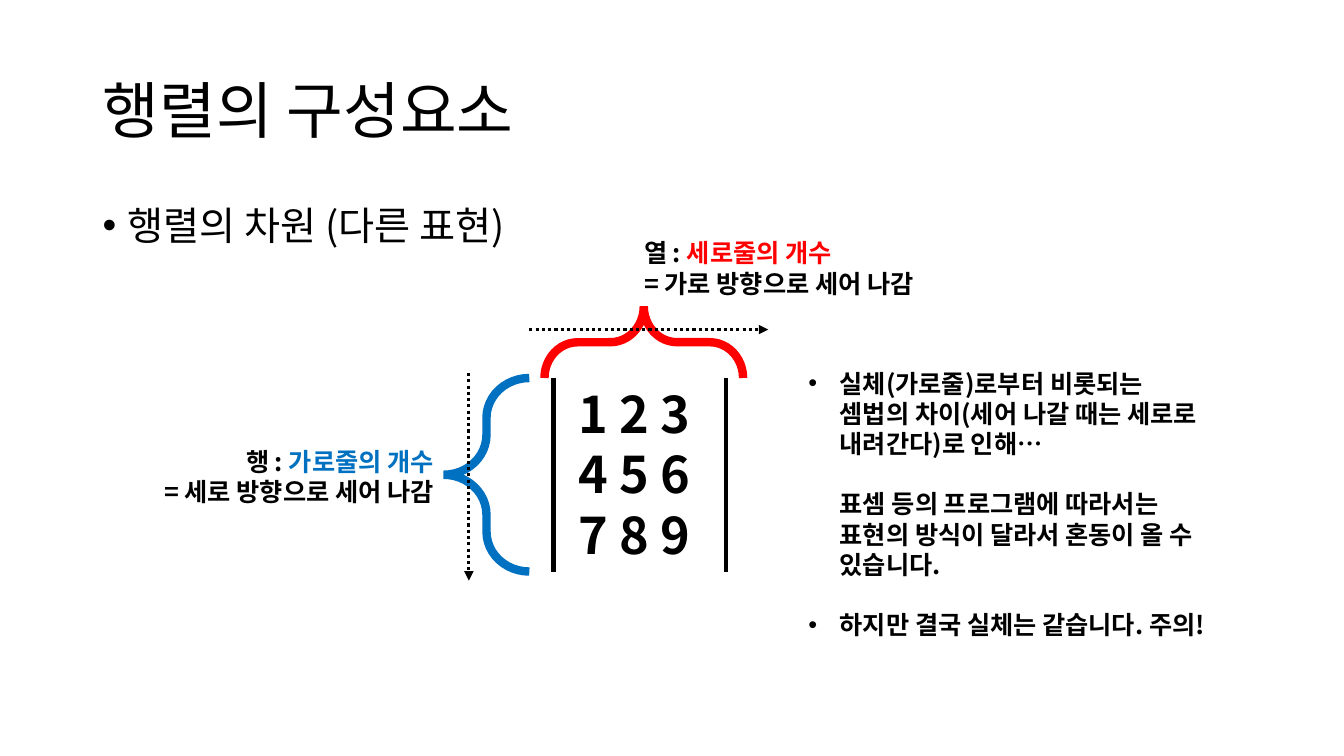
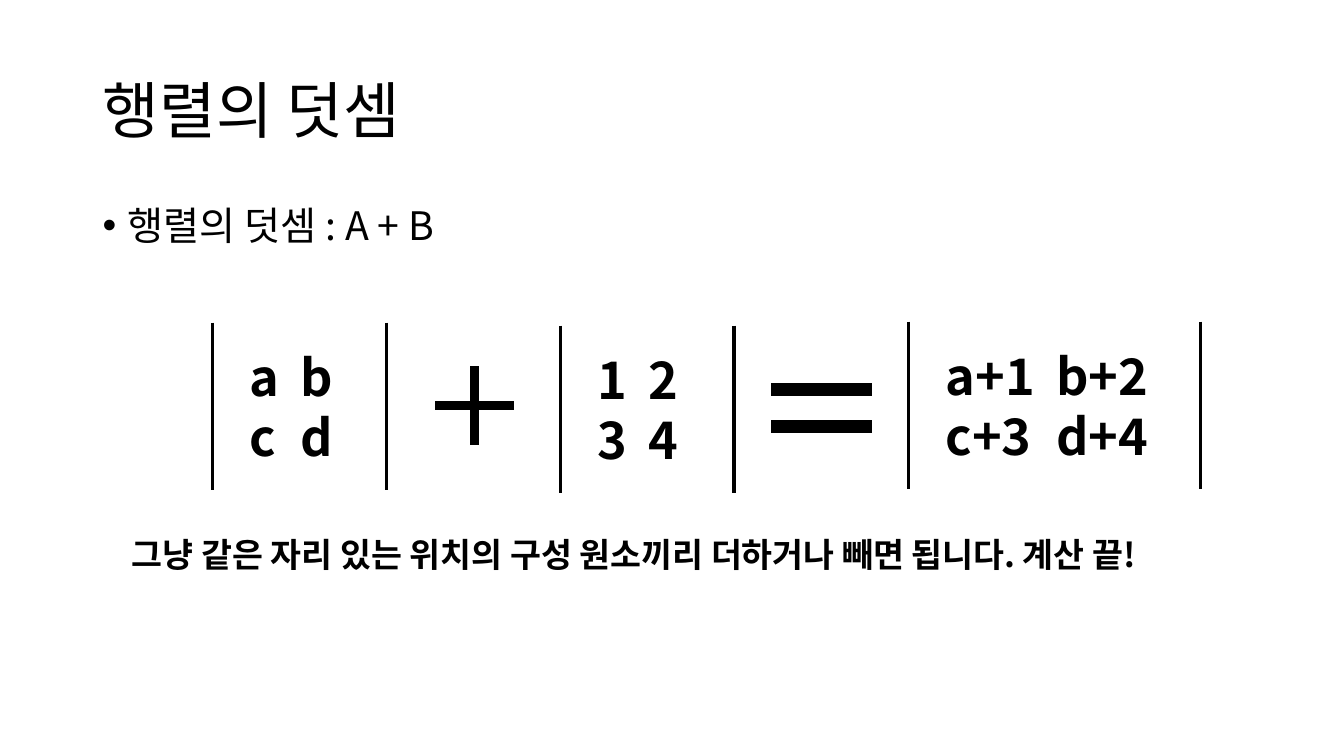
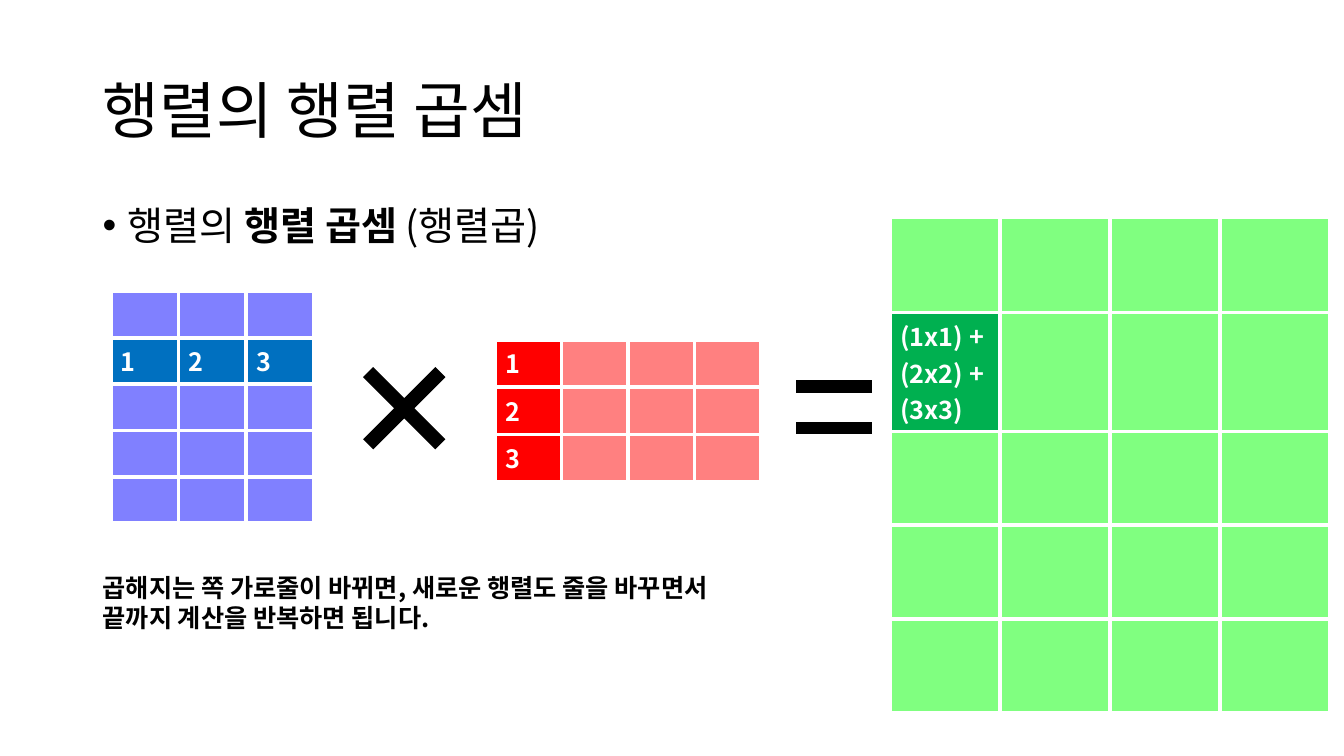
from lxml.etree import SubElement
from pptx import Presentation
from pptx.dml.color import RGBColor
from pptx.enum.dml import MSO_LINE
from pptx.enum.shapes import MSO_CONNECTOR, MSO_SHAPE
from pptx.enum.text import MSO_ANCHOR, PP_ALIGN
from pptx.oxml.ns import qn
from pptx.util import Inches, Pt

FONT = "Noto Sans CJK KR"
BLACK, WHITE, RED, BLUE, GREEN = "000000", "FFFFFF", "FF0000", "0070C0", "00B050"
PALE_RED, PALE_BLUE, PALE_GREEN = "FF8080", "8080FF", "80FF80"
LINE_HEIGHT = 1.2  # line pitch in ems


def rgb(value):
    return RGBColor.from_string(value)


def box(*lengths):
    return [Inches(v) for v in lengths]


# Text
def add_run(p, text, size, color=BLACK, bold=False):
    r = p.add_run()
    r.text = text
    for name, value in {"name": FONT, "size": Pt(size), "bold": bold}.items():
        setattr(r.font, name, value)
    r.font.color.rgb = rgb(color)
    SubElement(r._r.get_or_add_rPr(), qn("a:ea"), typeface=FONT)


def set_indent(p, left, bullet=True):
    pPr = p._p.get_or_add_pPr()
    pPr.set("marL", str(Inches(left)))
    pPr.set("indent", str(-Inches(left) if bullet else 0))
    if bullet:
        SubElement(pPr, qn("a:buFont"), typeface="Arial")
        SubElement(pPr, qn("a:buChar"), char="•")


def set_tab(p, position):
    tabs = SubElement(p._p.get_or_add_pPr(), qn("a:tabLst"))
    SubElement(tabs, qn("a:tab"), pos=str(Inches(position)), algn="l")


def next_paragraph(tf, index):
    return tf.add_paragraph() if index else tf.paragraphs[0]


def add_text(s, at, lines, size, align=PP_ALIGN.LEFT, tab=None):
    """Each line is a list of (text, color) runs, or a plain string."""
    tf = s.shapes.add_textbox(*box(*at)).text_frame
    tf.word_wrap = True
    for i, line in enumerate(lines):
        p = next_paragraph(tf, i)
        if tab:
            set_tab(p, tab)
        p.alignment, p.line_spacing = align, Pt(size * LINE_HEIGHT)
        for text, color in [(line, BLACK)] if isinstance(line, str) else line:
            add_run(p, text, size, color, bold=True)


def add_notes_list(s, at, items, size=18):
    """Items are (text, has_bullet, starts_block)."""
    tf = s.shapes.add_textbox(*box(*at)).text_frame
    tf.word_wrap = True
    pitch = Pt(size * LINE_HEIGHT)
    for i, (text, has_bullet, starts_block) in enumerate(items):
        p = next_paragraph(tf, i)
        set_indent(p, 0.31, has_bullet)
        p.line_spacing = pitch
        if starts_block:
            p.space_before = pitch
        add_run(p, text, size, bold=True)


# Lines and shapes
def add_line(s, start, end, width, arrow=False):
    c = s.shapes.add_connector(MSO_CONNECTOR.STRAIGHT, *box(*start, *end))
    c.line.color.rgb, c.line.width = rgb(BLACK), Pt(width)
    if arrow:
        c.line.dash_style = MSO_LINE.ROUND_DOT
        SubElement(c.line._get_or_add_ln(), qn("a:tailEnd"), type="triangle")
    SubElement(c._element.spPr, qn("a:effectLst"))


def add_symbol(s, kind, at, adjustments, color=BLACK, width=1, filled=True, rotation=0):
    sp = s.shapes.add_shape(kind, *box(*at))
    sp.shadow.inherit = False
    sp.rotation = rotation
    for i, value in enumerate(adjustments):
        sp.adjustments[i] = value
    if filled:
        sp.fill.solid()
        sp.fill.fore_color.rgb = rgb(color)
    else:
        sp.fill.background()
    sp.line.color.rgb, sp.line.width = rgb(color), Pt(width)
    SubElement(sp.line._get_or_add_ln(), qn("a:miter"), lim="800000")


def add_matrix(s, at, rows, inset, bar_width, tab=None):
    """Rows of large text between two vertical bars on the box edges."""
    left, top, width, height = at
    for x in (left, left + width):
        add_line(s, (x, top), (x, top + height), bar_width)
    dx, dy = inset
    add_text(s, (left + dx, top + dy, width - dx + 0.1, 0.6 * len(rows) + 0.1),
             rows, 36, tab=tab)


def add_grid(s, at, col_width, row_heights, cols, pale, strong, marked):
    """Table of pale cells; marked maps (row, column) to the lines of a strong cell."""
    rows = len(row_heights)
    frame = s.shapes.add_table(rows, cols, *box(*at, col_width * cols, sum(row_heights)))
    table = frame.table
    for col in table.columns:
        col.width = Inches(col_width)
    for r, height in enumerate(row_heights):
        table.rows[r].height = Inches(height)
        for c in range(cols):
            cell = table.cell(r, c)
            tcPr = cell._tc.get_or_add_tcPr()
            for side in ("lnL", "lnR", "lnT", "lnB"):
                ln = SubElement(tcPr, qn("a:" + side), w=str(Pt(3)))
                SubElement(SubElement(ln, qn("a:solidFill")), qn("a:srgbClr"), val=WHITE)
            lines = marked.get((r, c), [])
            cell.fill.solid()
            cell.fill.fore_color.rgb = rgb(strong if lines else pale)
            for i, text in enumerate(lines):
                add_run(next_paragraph(cell.text_frame, i), text, 18, WHITE, bold=True)


# Shared slide head: title and one bullet
def new_slide(prs, title, bullet_runs):
    s = prs.slides.add_slide(prs.slide_layouts[5])
    head = s.shapes.title
    head.left, head.top, head.width, head.height = box(0.92, 0.4, 11.5, 1.45)
    tf = head.text_frame
    tf.vertical_anchor, tf.word_wrap = MSO_ANCHOR.MIDDLE, True
    p = tf.paragraphs[0]
    p.alignment, p.line_spacing = PP_ALIGN.LEFT, 0.9
    add_run(p, title, 44)

    tf = s.shapes.add_textbox(*box(0.92, 2, 11.5, 0.6)).text_frame
    tf.word_wrap = True
    p = tf.paragraphs[0]
    set_indent(p, 0.25)
    p.line_spacing = Pt(30)
    for text, size, bold in bullet_runs:
        add_run(p, text, size, bold=bold)
    return s


def dimension_slide(prs):
    s = new_slide(prs, "행렬의 구성요소", [("행렬의 차원 (다른 표현)", 28, False)])
    add_matrix(s, (5.49, 3.75, 1.71, 1.92), ["1 2 3", "4 5 6", "7 8 9"], (0.15, 0), 3)
    # Row and column labels
    add_text(s, (0.73, 4.38, 3.67, 0.71),
             [[("행 : ", BLACK), ("가로줄의 개수", BLUE)], "= 세로 방향으로 세어 나감"],
             18, PP_ALIGN.RIGHT)
    add_text(s, (6.29, 2.31, 3.63, 0.71),
             [[("열 : ", BLACK), ("세로줄의 개수", RED)], "= 가로 방향으로 세어 나감"], 18)
    # Braces and counting directions
    for at, color, rotation in (((4.4, 3.75, 0.85, 1.92), BLUE, 0),
                                ((6.03, 2.41, 0.71, 1.97), RED, 90)):
        add_symbol(s, MSO_SHAPE.LEFT_BRACE, at, (0.466, 0.5), color, 6, False, rotation)
    add_notes_list(s, (7.92, 3.6, 4.65, 2.83), [
        ("실체(가로줄)로부터 비롯되는", True, False),
        ("셈법의 차이(세어 나갈 때는 세로로 내려간다)로 인해…", False, False),
        ("표셈 등의 프로그램에 따라서는", False, True),
        ("표현의 방식이 달라서 혼동이 올 수 있습니다.", False, False),
        ("하지만 결국 실체는 같습니다. 주의!", True, True),
    ])
    add_line(s, (4.65, 3.7), (4.65, 5.76), 2.25, arrow=True)
    add_line(s, (5.25, 3.27), (7.62, 3.27), 2.25, arrow=True)


def addition_slide(prs):
    s = new_slide(prs, "행렬의 덧셈", [("행렬의 덧셈 : A + B", 28, False)])
    for left, top, width, rows, tab in (
            (2.11, 3.2, 1.72, ["a\tb", "c\td"], 0.5),
            (5.56, 3.23, 1.72, ["1\t2", "3\t4"], 0.5),
            (9.01, 3.19, 2.9, ["a+1\tb+2", "c+3\td+4"], 1.1)):
        add_matrix(s, (left, top, width, 1.66), rows, (0.27, 0.18), 2.25, tab)
    add_symbol(s, MSO_SHAPE.CROSS, (4.32, 3.64, 0.77, 0.77), (0.449,))
    add_symbol(s, MSO_SHAPE.MATH_EQUAL, (7.47, 3.37, 1.35, 1.35), (0.087, 0.186))
    add_text(s, (1.21, 5.25, 11.5, 0.5),
             ["그냥 같은 자리 있는 위치의 구성 원소끼리 더하거나 빼면 됩니다. 계산 끝!"], 24)


def product_slide(prs):
    s = new_slide(prs, "행렬의 행렬 곱셈", [
        ("행렬의 ", 28, False), ("행렬 곱셈", 28, True), (" ", 24, False), ("(행렬곱)", 28, False)])
    # Factors
    add_grid(s, (1.1, 2.89), 0.67, [0.46] * 5, 3, PALE_BLUE, BLUE,
             {(1, i): [str(i + 1)] for i in range(3)})
    add_symbol(s, MSO_SHAPE.MATH_MULTIPLY, (3.33, 3.37, 1.36, 1.36), (0.094,))
    add_grid(s, (4.91, 3.37), 0.66, [0.47] * 3, 4, PALE_RED, RED,
             {(i, 0): [str(i + 1)] for i in range(3)})
    # Result, with a taller row for the three products
    add_symbol(s, MSO_SHAPE.MATH_EQUAL, (7.77, 3.54, 1, 1), (0.112, 0.302))
    add_grid(s, (8.83, 2.15), 1.09, [0.95, 1.18] + [0.93] * 3, 4, PALE_GREEN, GREEN,
             {(1, 0): ["(1x1) +", "(2x2) +", "(3x3)"]})
    add_text(s, (0.92, 5.63, 7.36, 0.71),
             ["곱해지는 쪽 가로줄이 바뀌면, 새로운 행렬도 줄을 바꾸면서",
              "끝까지 계산을 반복하면 됩니다."], 18)


def main():
    prs = Presentation()
    prs.slide_width, prs.slide_height = box(13.33, 7.5)
    for build in (dimension_slide, addition_slide, product_slide):
        build(prs)
    prs.save("out.pptx")


if __name__ == "__main__":
    main()
